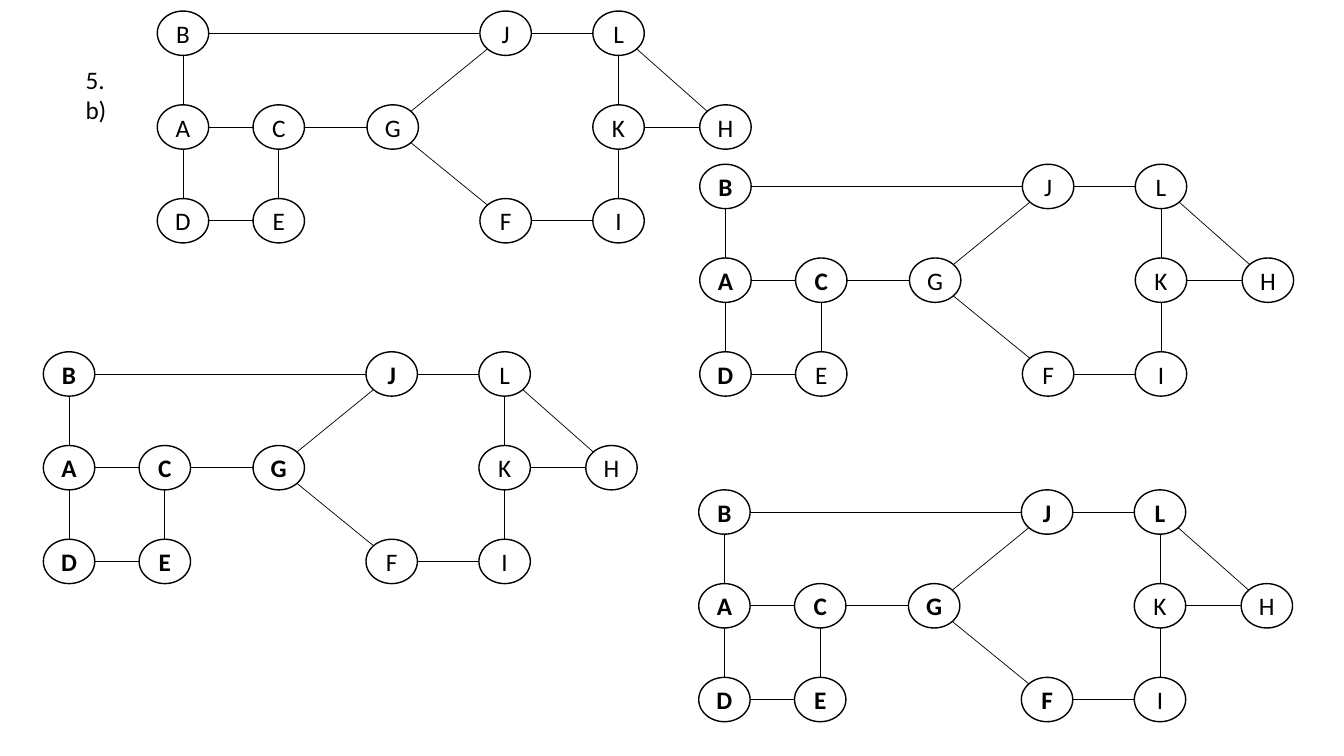
"""Build a slide with four stages of a graph search."""
import math

import pptx
import pptx.dml.color
import pptx.enum.shapes
import pptx.enum.text
import pptx.oxml
import pptx.util

Inches = pptx.util.Inches
Pt = pptx.util.Pt
BLACK = pptx.dml.color.RGBColor(0, 0, 0)
WHITE = pptx.dml.color.RGBColor(255, 255, 255)
FONT = "Calibri"
WIDTH, HEIGHT = 0.51, 0.44
PITCH = 0.93
COLS = (0, 0.95, 2.08, 3.2, 4.32, 5.38)
NODES = {
    "B": (0, 0), "E": (1, 2), "J": (3, 0), "L": (4, 0),
    "C": (1, 1), "A": (0, 1), "D": (0, 2), "F": (3, 2),
    "H": (5, 1), "I": (4, 2), "K": (4, 1), "G": (2, 1),
}
EDGES = "BJ LJ LH KL KI FI GF GJ CG BA AD CE AC DE KH".split()
STAGES = (
    (1.56, 0.11, ""),
    (6.94, 1.63, "BACD"),
    (0.43, 3.49, "BACDEGJ"),
    (6.93, 4.86, "BACDEGJFL"),
)


def style(frame, bold=False):
    """Format every run of a text frame."""
    frame.word_wrap = True
    for para in frame.paragraphs:
        for run in para.runs:
            run.font.name = FONT
            run.font.size = Pt(18)
            run.font.bold = bold
            run.font.color.rgb = BLACK


def add_label(slide, text, left, top, width, height):
    """Add a plain wrapped text box."""
    box = slide.shapes.add_textbox(
        Inches(left), Inches(top), Inches(width), Inches(height))
    box.text_frame.text = text
    style(box.text_frame)


def add_node(slide, name, left, top, bold):
    """Add one lettered ellipse."""
    node = slide.shapes.add_shape(
        pptx.enum.shapes.MSO_SHAPE.OVAL,
        Inches(left), Inches(top), Inches(WIDTH), Inches(HEIGHT))
    node.shadow.inherit = False
    node.fill.solid()
    node.fill.fore_color.rgb = WHITE
    node.line.color.rgb = BLACK
    node.line.width = Pt(1)
    frame = node.text_frame
    frame.text = name
    frame.vertical_anchor = pptx.enum.text.MSO_ANCHOR.MIDDLE
    frame.paragraphs[0].alignment = pptx.enum.text.PP_ALIGN.CENTER
    style(frame, bold)


def sign(value):
    """Return -1, 0 or 1."""
    return (value > 0) - (value < 0)


def rim(start, end):
    """Return the rim point of the start node that faces the end node."""
    across, down = (sign(b - a) for a, b in zip(start, end))
    reach = math.hypot(across, down) * 2
    return (Inches(start[0] + WIDTH / 2 + across * WIDTH / reach),
            Inches(start[1] + HEIGHT / 2 + down * HEIGHT / reach))


def add_edge(slide, start, end):
    """Join two nodes with a thin line."""
    edge = slide.shapes.add_connector(
        pptx.enum.shapes.MSO_CONNECTOR.STRAIGHT,
        *rim(start, end), *rim(end, start))
    edge.line.color.rgb = BLACK
    edge.line.width = Pt(0.5)
    props = edge._element.spPr
    props.append(pptx.oxml.parse_xml(
        '<a:effectLst xmlns:a='
        '"http://schemas.openxmlformats.org/drawingml/2006/main"/>'))


def add_graph(slide, left, top, seen):
    """Draw the graph with the seen nodes in bold."""
    spots = {name: (left + COLS[col], top + row * PITCH)
             for name, (col, row) in NODES.items()}
    for name, spot in spots.items():
        add_node(slide, name, *spot, name in seen)
    for start, end in EDGES:
        add_edge(slide, spots[start], spots[end])


def main():
    """Build and save the slide."""
    deck = pptx.Presentation()
    deck.slide_width = Inches(13.33)
    deck.slide_height = Inches(7.5)
    slide = deck.slides.add_slide(deck.slide_layouts[6])
    add_label(slide, "5. b)", 0.75, 0.59, 0.54, 0.71)
    for stage in STAGES:
        add_graph(slide, *stage)
    deck.save("out.pptx")


if __name__ == "__main__":
    main()
